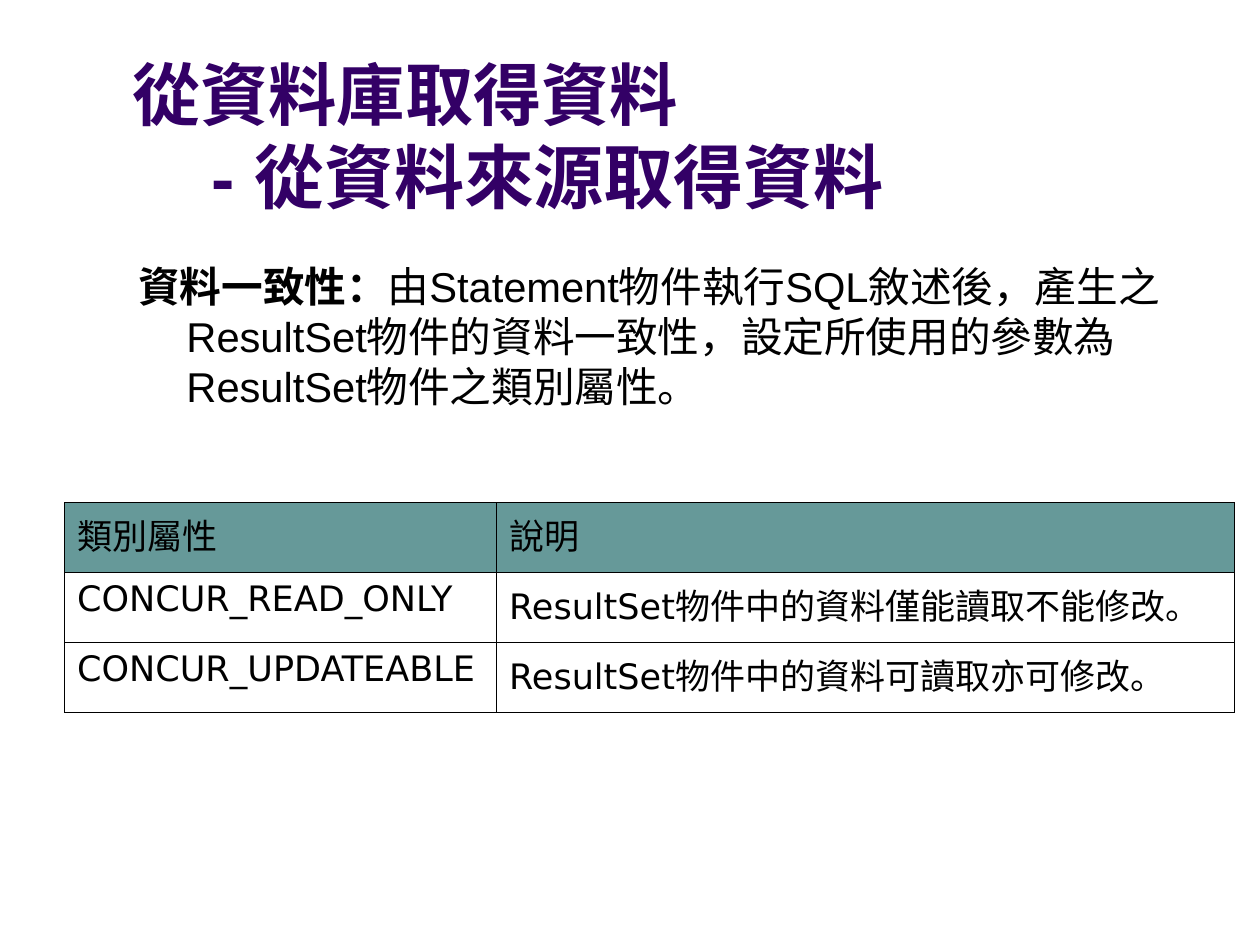
from dataclasses import dataclass
from lxml.etree import SubElement
from pptx import Presentation
from pptx.dml.color import RGBColor
from pptx.enum.text import MSO_ANCHOR, MSO_AUTO_SIZE, PP_ALIGN
from pptx.oxml.ns import qn
from pptx.util import Cm, Pt


@dataclass(frozen=True)
class Theme:
    """Colours, fonts and type sizes of the slide."""
    title: str = "330066"
    ink: str = "000000"
    head: str = "669999"
    sans: str = "Arial"
    mono: str = "DejaVu Sans"
    han: str = "Noto Sans CJK JP"
    top: float = 39
    sub: float = 40
    body: float = 23.8
    cell: float = 20
    rule: float = 0.45


THEME = Theme()
ROWS = [
    [["類別屬性"], ["說明"]],
    [["CONCUR_READ_ONLY"], ["ResultSet", "物件中的資料僅能讀取不能修改。"]],
    [["CONCUR_UPDATEABLE"], ["ResultSet", "物件中的資料可讀取亦可修改。"]],
]


def style(run, size, color, face, bold=False):
    """Set the font of one run."""
    font = run.font
    font.size, font.name, font.bold = Pt(size), face, bold
    font.color.rgb = RGBColor.from_string(color)


def hang(para, depth):
    """Indent every line of a paragraph but the first."""
    props = para._p.get_or_add_pPr()
    props.set("marL", str(depth))
    props.set("indent", str(-depth))


def add_title(slide, first, second):
    """Fill the title with two lines, the second one indented."""
    shape = slide.shapes.title
    shape.left, shape.top = Cm(2.41), Cm(0.53)
    shape.width, shape.height = Cm(22.68), Cm(3.99)
    frame = shape.text_frame
    frame.text = f"{first}\v{second}"
    frame.word_wrap = True
    frame.auto_size = MSO_AUTO_SIZE.NONE
    frame.vertical_anchor = MSO_ANCHOR.BOTTOM
    para = frame.paragraphs[0]
    para.alignment = PP_ALIGN.LEFT
    hang(para, Cm(1.6))
    for run, size in zip(para.runs, (THEME.top, THEME.sub)):
        style(run, size, THEME.title, THEME.sans, True)


def add_body(slide, term, text):
    """Add a paragraph that opens with a bold term."""
    box = slide.shapes.add_textbox(Cm(2.54), Cm(5.13), Cm(22.86), Cm(4.8))
    frame = box.text_frame
    frame.word_wrap = True
    para = frame.paragraphs[0]
    hang(para, Cm(0.97))
    for part, bold in ((term, True), (text, False)):
        run = para.add_run()
        run.text = part
        style(run, THEME.body, THEME.ink, THEME.sans, bold)


def add_edges(cell):
    """Draw a thin line on all four sides of a cell."""
    props = cell._tc.get_or_add_tcPr()
    for side in ("lnL", "lnR", "lnT", "lnB"):
        line = SubElement(props, qn(f"a:{side}"), w=str(Pt(THEME.rule)))
        fill = SubElement(line, qn("a:solidFill"))
        SubElement(fill, qn("a:srgbClr"), val=THEME.ink)


def fill_cell(cell, parts, head):
    """Write the parts of a cell and set its fill."""
    add_edges(cell)
    if head:
        cell.fill.solid()
        cell.fill.fore_color.rgb = RGBColor.from_string(THEME.head)
    else:
        cell.fill.background()
    para = cell.text_frame.paragraphs[0]
    for part in parts:
        run = para.add_run()
        run.text = part
        face = THEME.mono if part.isascii() else THEME.han
        style(run, THEME.cell, THEME.ink, face)
        SubElement(run.font._element, qn("a:ea"), typeface=THEME.han)


def add_grid(slide, rows):
    """Add the table of class attributes."""
    widths = (Cm(8.71), Cm(14.88))
    high = Cm(1.41)
    frame = slide.shapes.add_table(len(rows), len(widths), Cm(1.3), Cm(10.13),
                                   sum(widths), high * len(rows))
    table = frame.table
    table.first_row = table.horz_banding = False
    for col, width in zip(table.columns, widths):
        col.width = width
    for index, (row, texts) in enumerate(zip(table.rows, rows)):
        row.height = high
        for cell, parts in zip(row.cells, texts):
            fill_cell(cell, parts, index == 0)


def main():
    """Build and save the slide."""
    deck = Presentation()
    deck.slide_width, deck.slide_height = Cm(25.4), Cm(19.05)
    slide = deck.slides.add_slide(deck.slide_layouts[5])
    add_title(slide, "從資料庫取得資料", "- 從資料來源取得資料")
    add_body(slide, "資料一致性：",
             "由Statement物件執行SQL敘述後，產生之ResultSet物件的資料一致性，"
             "設定所使用的參數為ResultSet物件之類別屬性。")
    add_grid(slide, ROWS)
    deck.save("out.pptx")


if __name__ == "__main__":
    main()
